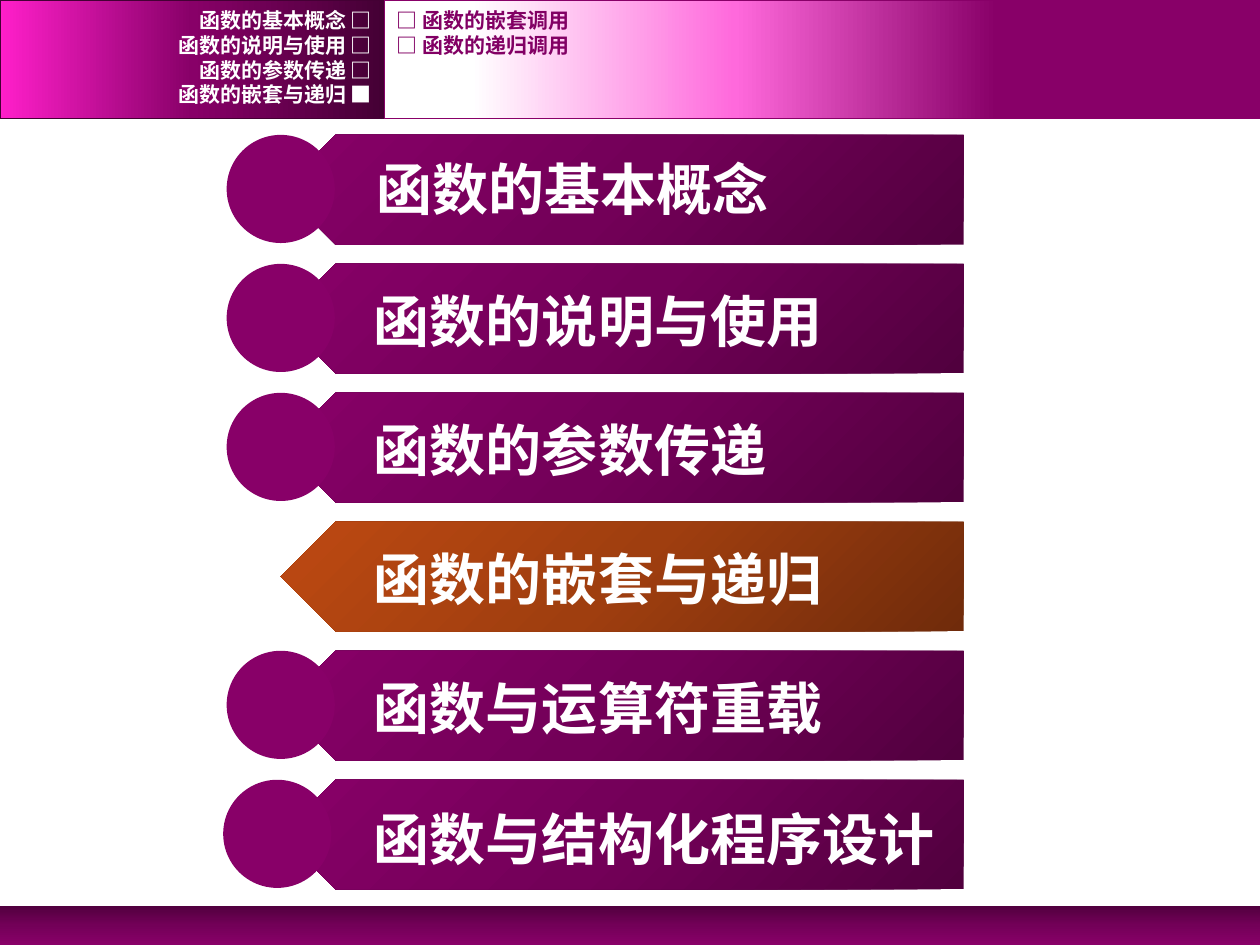
from copy import deepcopy

from pptx import Presentation
from pptx.dml.color import RGBColor
from pptx.enum.shapes import MSO_SHAPE
from pptx.enum.text import MSO_ANCHOR, MSO_AUTO_SIZE, PP_ALIGN
from pptx.oxml.ns import qn
from pptx.util import Cm, Pt

RECTANGLE, PENTAGON, OVAL = MSO_SHAPE.RECTANGLE, MSO_SHAPE.PENTAGON, MSO_SHAPE.OVAL
LEFT, RIGHT = PP_ALIGN.LEFT, PP_ALIGN.RIGHT
TOP, MIDDLE = MSO_ANCHOR.TOP, MSO_ANCHOR.MIDDLE
FIT_SHAPE, FIT_NONE = MSO_AUTO_SIZE.SHAPE_TO_FIT_TEXT, MSO_AUTO_SIZE.NONE

FONT = "Courier New"
WHITE, PURPLE, DEEP_PURPLE, LINK_PURPLE = "FFFFFF", "880068", "440034", "820064"
PURPLE_STOPS = [(0, "51003E"), (0.5, "730058"), (1, PURPLE)]
ORANGE_STOPS = [(0, "702B0B"), (0.5, "9F3E0F"), (1, "BD4912")]
SECTION_STOPS = [(0, DEEP_PURPLE), (0.5, PURPLE), (1, "FF1FCA")]
TOPIC_STOPS = [(0.3, PURPLE), (0.6, "FF69DC"), (0.9, WHITE)]

SECTIONS = ["函数的基本概念 □", "函数的说明与使用 □", "函数的参数传递 □", "函数的嵌套与递归 ■"]
TOPICS = ["□ 函数的嵌套调用", "□ 函数的递归调用"]
# Chapter name, text offset (left, top) within its row, circle offset
CHAPTERS = [
    ("函数的基本概念", 2.84, 0.28, 0.07),
    ("函数的说明与使用", 2.79, 0.33, 0.07),
    ("函数的参数传递", 2.79, 0.33, 0.07),
    ("函数的嵌套与递归", 2.79, 0.33, None),
    ("函数与运算符重载", 2.79, 0.33, 0.07),
    ("函数与结构化程序设计", 2.79, 0.38, 0),
]


def color(hex_code):
    return RGBColor.from_string(hex_code)


def add_shape(page, kind, box, line=None):
    shape = page.shapes.add_shape(kind, *map(Cm, box))
    shape.shadow.inherit = False
    if line:
        shape.line.color.rgb = color(line)
        shape.line.width = Pt(1)
    else:
        shape.line.fill.background()
    return shape


def fill_gradient(shape, stops, angle):
    """Fill with three stops; the angle runs counter-clockwise."""
    shape.fill.gradient()
    shape.fill.gradient_angle = angle
    stop_list = shape._element.spPr.find(".//" + qn("a:gsLst"))
    stop_list.append(deepcopy(stop_list[-1]))
    for stop, (position, hex_code) in zip(shape.fill.gradient_stops, stops):
        stop.position = position
        stop.color.rgb = color(hex_code)


def add_text(page, box, text, size, hex_code, align=LEFT, anchor=TOP, fit=FIT_NONE):
    frame = page.shapes.add_textbox(*map(Cm, box)).text_frame
    frame.word_wrap = True
    frame.auto_size = fit
    frame.vertical_anchor = anchor
    frame.text = text
    para = frame.paragraphs[0]
    para.alignment = align
    font = para.runs[0].font
    font.name, font.size, font.bold = FONT, Pt(size), True
    font.color.rgb = color(hex_code)


def add_header_panel(page, box, stops, line, lines, hex_code, align):
    panel = add_shape(page, RECTANGLE, box, line)
    fill_gradient(panel, stops, 180)
    left, top, width, _ = box
    for index, text in enumerate(lines):
        line_box = (left, top + 0.15 + 0.5 * index, width, 0.51)
        add_text(page, line_box, text, 12, hex_code, align, MIDDLE)


def add_chapter(page, box, name, text_left, text_top, circle_left):
    """Draw a left-pointing banner; the current chapter has no circle."""
    left, top, width, height = box
    current = circle_left is None
    banner = add_shape(page, PENTAGON, (left + 1.16, top, width - 1.16, height))
    banner._element.spPr.find(qn("a:xfrm")).set("flipH", "1")
    fill_gradient(banner, ORANGE_STOPS if current else PURPLE_STOPS, 45)
    if not current:
        circle = add_shape(page, OVAL, (left + circle_left, top, 2.18, 2.18))
        circle.fill.solid()
        circle.fill.fore_color.rgb = color(PURPLE)
    text_box = (left + text_left, top + text_top, 12, 1.63)
    add_text(page, text_box, name, 32, WHITE, fit=FIT_SHAPE)


def add_chapters(page, box):
    left, top, width, height = box
    banner_height = 2.21
    pitch = (height - banner_height) / (len(CHAPTERS) - 1)
    for index, chapter in enumerate(CHAPTERS):
        row = (left, top + pitch * index, width, banner_height)
        add_chapter(page, row, *chapter)


def add_footer(page, box):
    fill_gradient(add_shape(page, RECTANGLE, box), PURPLE_STOPS, 270)


def main():
    deck = Presentation()
    deck.slide_width, deck.slide_height = Cm(25.4), Cm(19.05)
    page = deck.slides.add_slide(deck.slide_layouts[6])
    add_footer(page, (0, 18.26, 25.4, 0.79))
    add_header_panel(page, (0, 0, 7.75, 2.39), SECTION_STOPS, DEEP_PURPLE,
                     SECTIONS, WHITE, RIGHT)
    add_header_panel(page, (7.75, 0, 17.65, 2.39), TOPIC_STOPS, PURPLE,
                     TOPICS, LINK_PURPLE, LEFT)
    add_chapters(page, (4.5, 2.72, 14.93, 15.21))
    deck.save("out.pptx")


if __name__ == "__main__":
    main()
